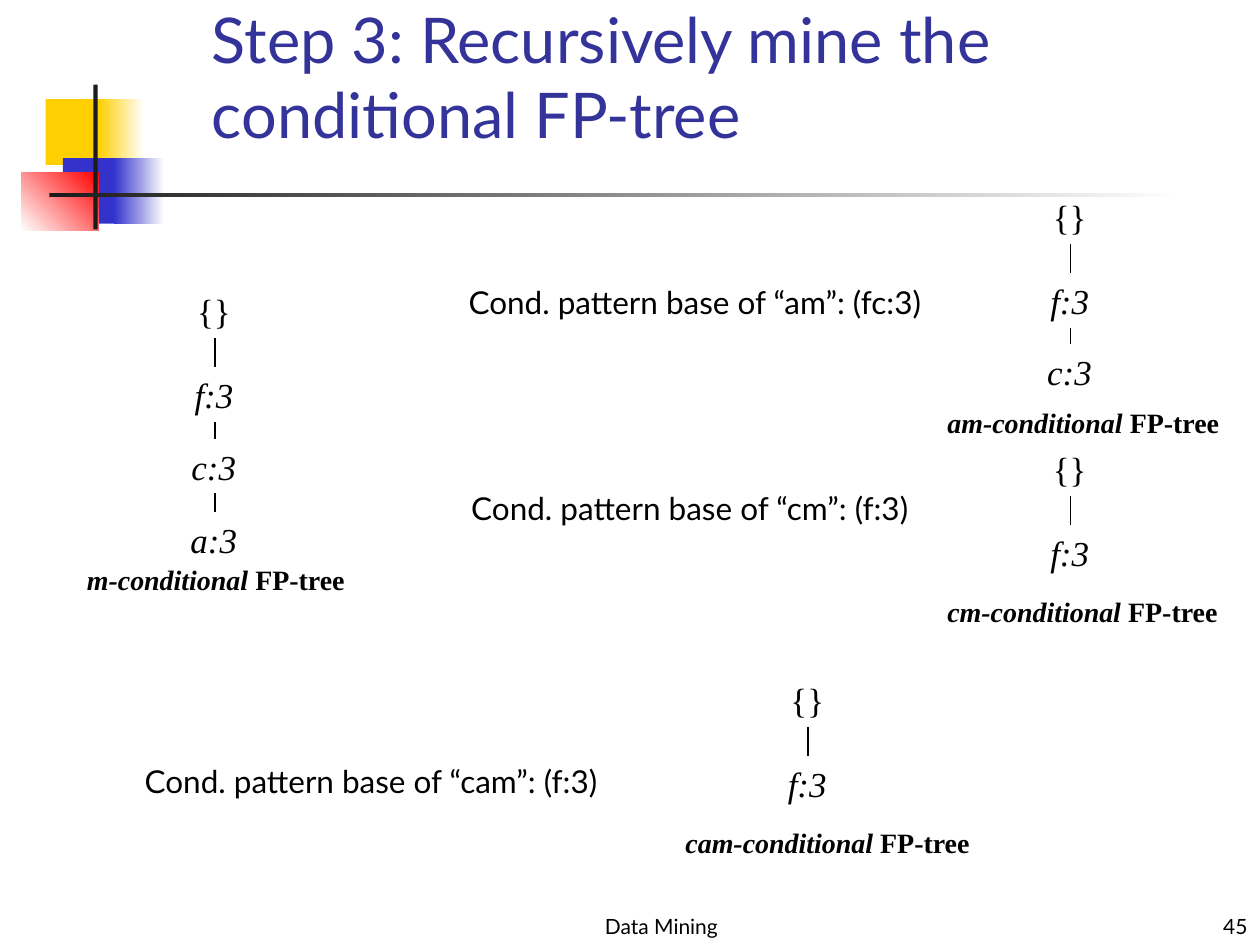
from lxml.etree import SubElement
from pptx import Presentation
from pptx.dml.color import RGBColor as RGB
from pptx.enum.shapes import MSO_CONNECTOR as CONN, MSO_SHAPE as SHAPE
from pptx.enum.text import MSO_ANCHOR as ANCHOR, MSO_AUTO_SIZE as FIT, PP_ALIGN as ALIGN
from pptx.oxml.ns import qn
from pptx.util import Inches, Pt

HUE = {"gold": "FFCF01", "blue": "3333CC", "red": "FF0000", "dark": "1C1C1C",
       "white": "FFFFFF", "title": "333399", "black": "000000"}
SANS, SERIF = "Lato", "Times New Roman"

deck = Presentation()
deck.slide_width, deck.slide_height = Inches(10), Inches(7.5)
slide = deck.slides.add_slide(deck.slide_layouts[6])
shapes = slide.shapes


def grid(*cells):
    """Turn cells of a 120 by 90 grid into slide lengths."""
    return [int(deck.slide_width * cell / 120) for cell in cells]


def write(box, runs, size, face, hue="black", align=ALIGN.LEFT, wrap=False, bold=False):
    """Add a text box; runs holds (text, italic) pairs. Wrapped text sits at the bottom."""
    frame = shapes.add_textbox(*grid(*box)).text_frame
    frame.word_wrap = wrap
    frame.auto_size = FIT.NONE if wrap else FIT.SHAPE_TO_FIT_TEXT
    frame.vertical_anchor = ANCHOR.BOTTOM if wrap else ANCHOR.TOP
    para = frame.paragraphs[0]
    para.alignment = align
    font = para.font
    font.size, font.name, font.bold = Pt(size), face, bold
    font.color.rgb = RGB.from_string(HUE[hue])
    for text, slant in runs:
        run = para.add_run()
        run.text = text
        run.font.italic = slant


# Corner ornament: box, first colour, last colour (None for a plain fill), angle
for box, first, last, angle in [
    ((4.35, 9.45, 5.8, 6.25), "gold", None, 0),
    ((9.4, 9.45, 4.3, 6.25), "gold", "white", 0),
    ((6, 15.05, 5.5, 6.25), "blue", None, 0),
    ((10.85, 15.05, 4.8, 6.25), "blue", "white", 0),
    ((2.05, 16.4, 7.35, 5.55), "white", "red", 45),
    ((8.9, 8.05, 0.4, 13.8), "dark", None, 0),
    ((4.7, 18.4, 108, 0.4), "dark", "white", 0),
]:
    block = shapes.add_shape(SHAPE.RECTANGLE, *grid(*box))
    block.shadow.inherit = False
    block.line.fill.background()
    if last:
        block.fill.gradient()
        block.fill.gradient_angle = angle
        for stop, name in zip(block.fill.gradient_stops, (first, last)):
            stop.color.rgb = RGB.from_string(HUE[name])
    else:
        block.fill.solid()
        block.fill.fore_color.rgb = RGB.from_string(HUE[first])

# Title and footer
write((19, 2, 88, 13), [("Step 3: Recursively mine the conditional FP-tree", False)],
      36, SANS, "title", wrap=True)
write((44, 85, 38, 5), [("Data Mining", False)], 12, SANS, align=ALIGN.CENTER, wrap=True)
write((95, 85, 25, 5), [("45", False)], 12, SANS, align=ALIGN.RIGHT, wrap=True)

# Pattern bases
for col, row, width, base in [
    (43.45, 26.4, 48.7, "“am”: (fc:3)"),
    (43.7, 46, 47, "“cm”: (f:3)"),
    (12.6, 72, 48.7, "“cam”: (f:3)"),
]:
    write((col, row, width, 4.8), [("Cond. pattern base of " + base, False)], 18, SANS)

# Trees: every tree uses the first nodes of one chain (text, drop from the root, width)
CHAIN = [("{}", 0, 5.7), ("f:3", 8, 6.2), ("c:3", 14.8, 6.8), ("a:3", 21.8, 7)]
TALL = 5.2
for name, mid, top, count, left, foot, width in [
    ("m", 20.45, 27, 4, 7.1, 53, 27.1),
    ("am", 101.95, 18, 3, 89.05, 38, 28.4),
    ("cm", 101.95, 42, 2, 89.05, 56, 28.3),
    ("cam", 76.95, 64, 2, 64.1, 78, 29.6),
]:
    nodes = CHAIN[:count]
    for text, drop, wide in nodes:
        write((mid - wide / 2, top + drop, wide, TALL), [(text, text != "{}")], 20, SERIF)
    for (_, high, _), (_, low, _) in zip(nodes, nodes[1:]):
        link = shapes.add_connector(
            CONN.STRAIGHT, *grid(mid, top + high + TALL, mid, top + low))
        link.line.width = Pt(1)
        link.line.color.rgb = RGB.from_string(HUE["black"])
        SubElement(link._element.spPr, qn("a:effectLst"))
    write((left, foot, width, 4.4), [(name + "-conditional ", True), ("FP-tree", False)],
          16, SERIF, bold=True)

deck.save("out.pptx")
